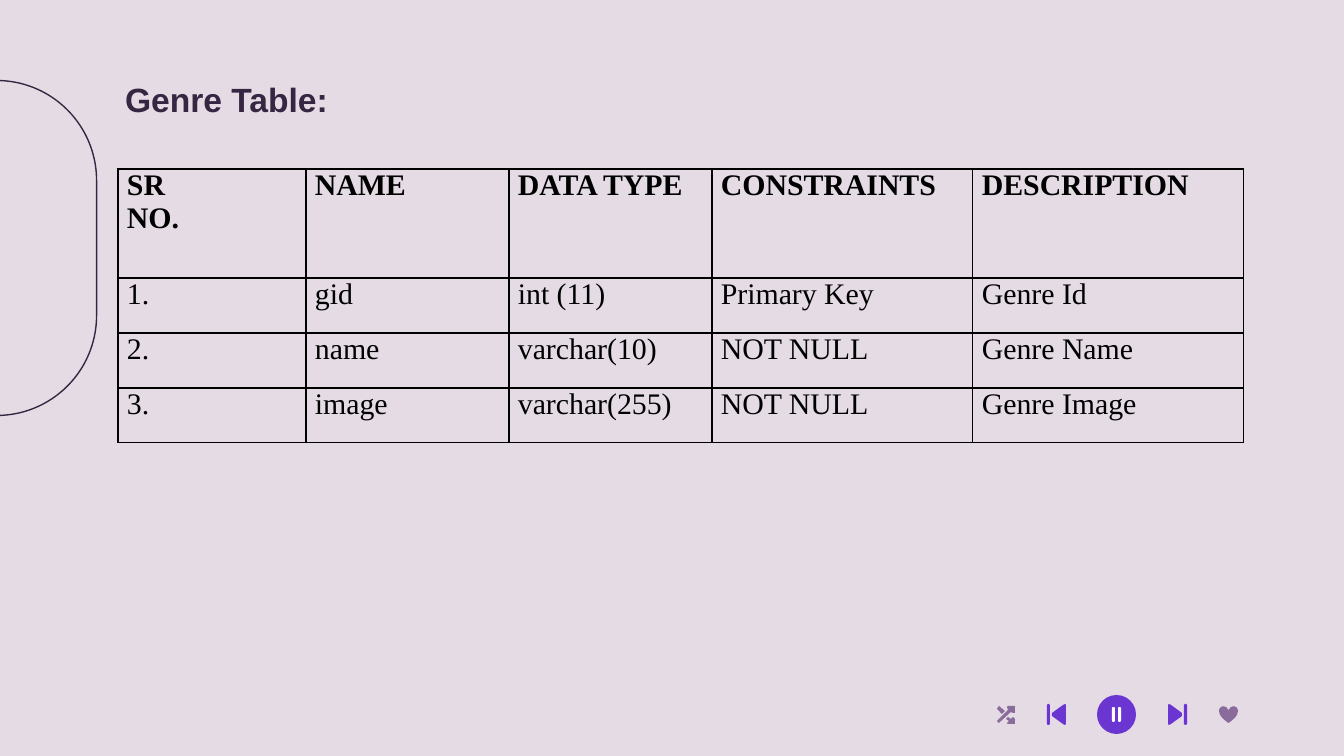
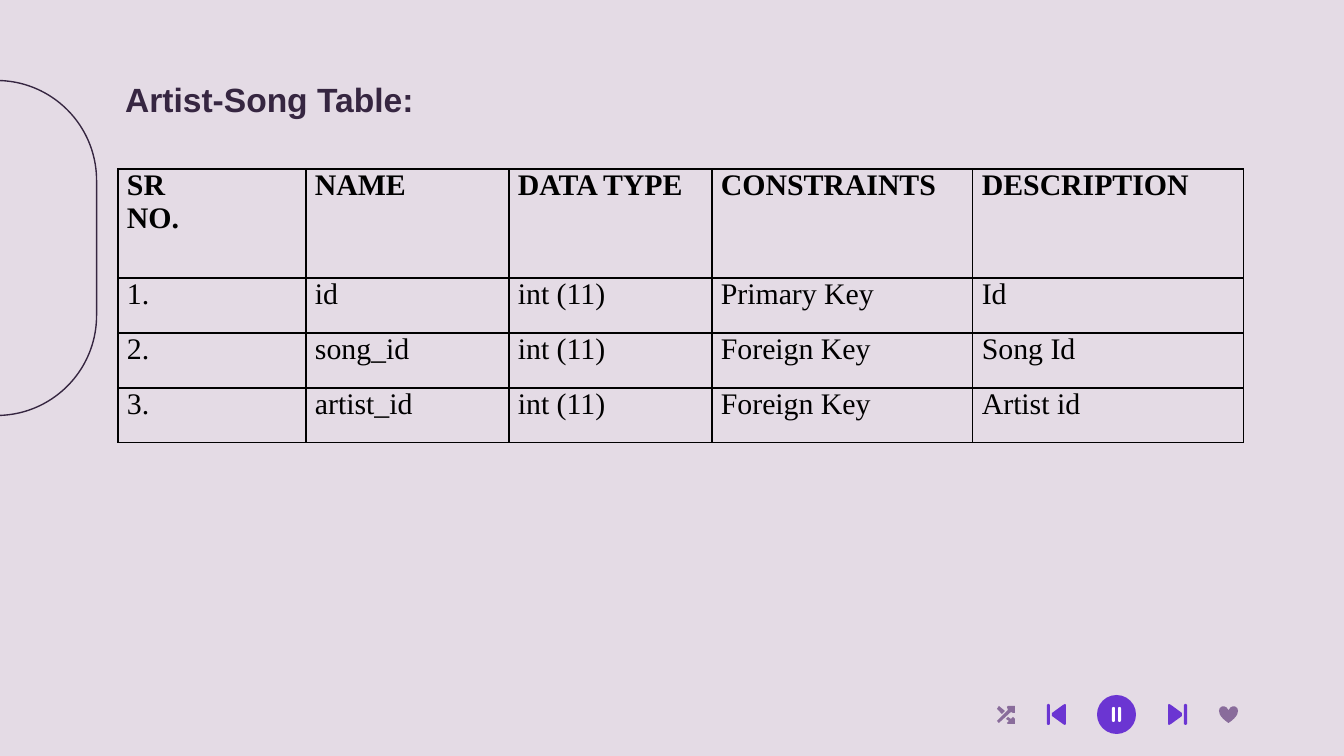
from pptx import Presentation
from pptx.dml.color import RGBColor
from pptx.enum.shapes import MSO_SHAPE as Shape
from pptx.enum.text import MSO_ANCHOR as Anchor, MSO_AUTO_SIZE as AutoSize, PP_ALIGN as Align
from pptx.oxml import parse_xml
from pptx.oxml.ns import nsdecls
from pptx.util import Emu, Pt

SCALE = 914400 / 134.4  # EMU in one px
COLORS = {
    "background": "E4DBE5",
    "ink": "362641",
    "accent": "6B35D2",
    "muted": "896C9B",
    "white": "FFFFFF",
    "black": "000000",
}
TITLE_FONT = {"name": "Arial", "size": Pt(18), "bold": True}
CELL_FONT = {"name": "Times New Roman", "size": Pt(16), "bold": False}
HEADER_FONT = {**CELL_FONT, "bold": True}

TITLE_BOX = (112, 66, 1133, 85)
TAB_BOX = (-171, 148, 335, 200)
TABLE_BOX = (118, 169, 1126, 274)
PLAYER_ORIGIN = (997, 695)

COLUMN_WIDTHS = (188, 203, 203, 261, 271)
ROW_HEIGHTS = (109, 55, 55, 55)
HEADERS = ("SR\nNO.", "NAME", "DATA TYPE", "CONSTRAINTS", "DESCRIPTION")
TABLES = {
    "Genre Table:": (
        ("1.", "gid", "int (11)", "Primary Key", "Genre Id"),
        ("2.", "name", "varchar(10)", "NOT NULL", "Genre Name"),
        ("3.", "image", "varchar(255)", "NOT NULL", "Genre Image"),
    ),
    "Artist-Song Table:": (
        ("1.", "id", "int (11)", "Primary Key", "Id"),
        ("2.", "song_id", "int (11)", "Foreign Key", "Song Id"),
        ("3.", "artist_id", "int (11)", "Foreign Key", "Artist id"),
    ),
}

# Icon outlines in px from the icon's top left corner
SHUFFLE = (
    ((0, 3), (2, 0), (8, 5), (5, 8)),
    ((0, 15), (11, 4), (10, 1), (11, 0), (18, 0), (18, 7), (16, 7), (14, 6), (2, 17)),
    ((16, 11), (18, 13), (18, 18), (11, 18), (10, 17), (12, 15), (9, 13), (11, 11), (14, 13)),
)
PREVIOUS = (
    ((0, 1), (1, 0), (2, 0), (3, 1), (3, 20), (2, 21), (1, 21), (0, 20)),
    ((19, 1), (19, 20), (18, 21), (16, 20), (5, 12), (5, 9), (16, 1), (18, 0)),
)
NEXT = tuple(tuple((19 - x, y) for x, y in outline) for outline in PREVIOUS)


def px(value):
    return Emu(round(value * SCALE))


def rgb(color):
    return RGBColor.from_string(COLORS[color])


def style_text(frame, font_values, color):
    for para in frame.paragraphs:
        para.alignment = Align.LEFT
        for name, value in font_values.items():
            setattr(para.font, name, value)
        para.font.color.rgb = rgb(color)


def paint(shape, color):
    shape.shadow.inherit = False
    shape.fill.solid()
    shape.fill.fore_color.rgb = rgb(color)
    shape.line.fill.background()


def add_solid(shapes, kind, box, color):
    shape = shapes.add_shape(kind, *map(px, box))
    paint(shape, color)
    return shape


def add_outline(shapes, outlines, left, top, color):
    """Draw closed polygons as one freeform."""
    builder = shapes.build_freeform(*outlines[0][0], scale=SCALE)
    for outline in outlines:
        if outline is not outlines[0]:
            builder.move_to(*outline[0])
        builder.add_line_segments(outline[1:], close=True)
    paint(builder.convert_to_shape(px(left), px(top)), color)


def add_side_tab(page, box):
    tab = page.shapes.add_shape(Shape.ROUNDED_RECTANGLE, *map(px, box))
    tab.adjustments[0] = 0.5
    tab.rotation = 90
    tab.shadow.inherit = False
    tab.fill.background()
    tab.line.color.rgb = rgb("ink")
    tab.line.width = Pt(0.75)


def add_player(page, left, top):
    shapes = page.shapes.add_group_shape().shapes
    add_outline(shapes, SHUFFLE, left, top + 11, "muted")
    add_outline(shapes, PREVIOUS, left + 50, top + 9, "accent")
    add_solid(shapes, Shape.OVAL, (left + 100, top, 39, 39), "accent")
    for offset in (115, 121):
        bar = add_solid(shapes, Shape.ROUNDED_RECTANGLE, (left + offset, top + 12, 3, 15), "white")
        bar.adjustments[0] = 0.5
    add_outline(shapes, NEXT, left + 171, top + 9, "accent")
    add_solid(shapes, Shape.HEART, (left + 222, top + 11, 19, 17), "muted")


def set_title(page, box, text):
    title = page.shapes.title
    for name, value in zip(("left", "top", "width", "height"), box):
        setattr(title, name, px(value))
    frame = title.text_frame
    frame.text = text
    frame.auto_size = AutoSize.NONE
    frame.vertical_anchor = Anchor.TOP
    for side in ("left", "top", "right", "bottom"):
        setattr(frame, f"margin_{side}", px(13))
    style_text(frame, TITLE_FONT, "ink")


def format_cell(cell, text, font_values):
    cell.text = text
    cell.margin_left = cell.margin_right = px(9)
    cell.margin_top = cell.margin_bottom = 0
    cell.vertical_anchor = Anchor.TOP
    style_text(cell.text_frame, font_values, "black")
    properties = cell._tc.get_or_add_tcPr()
    for side in "LRTB":
        properties.append(parse_xml(
            f'<a:ln{side} {nsdecls("a")} w="{Pt(0.75)}"><a:solidFill>'
            f'<a:srgbClr val="{COLORS["black"]}"/></a:solidFill></a:ln{side}>'))
    cell.fill.background()


def add_field_table(page, box, records):
    rows = (HEADERS, *records)
    table = page.shapes.add_table(len(rows), len(HEADERS), *map(px, box)).table
    table.first_row = table.horz_banding = False
    for column, width in zip(table.columns, COLUMN_WIDTHS):
        column.width = px(width)
    for row, height, texts in zip(table.rows, ROW_HEIGHTS, rows):
        row.height = px(height)
        for cell, text in zip(row.cells, texts):
            format_cell(cell, text, HEADER_FONT if texts is HEADERS else CELL_FONT)


def add_table_page(deck, title, records):
    page = deck.slides.add_slide(deck.slide_layouts.get_by_name("Title Only"))
    add_side_tab(page, TAB_BOX)
    add_player(page, *PLAYER_ORIGIN)
    add_field_table(page, TABLE_BOX, records)
    set_title(page, TITLE_BOX, title)


def main():
    deck = Presentation()
    deck.slide_width, deck.slide_height = px(1344), px(756)
    backdrop = deck.slide_master.background.fill
    backdrop.solid()
    backdrop.fore_color.rgb = rgb("background")
    for title, records in TABLES.items():
        add_table_page(deck, title, records)
    deck.save("out.pptx")


if __name__ == "__main__":
    main()
